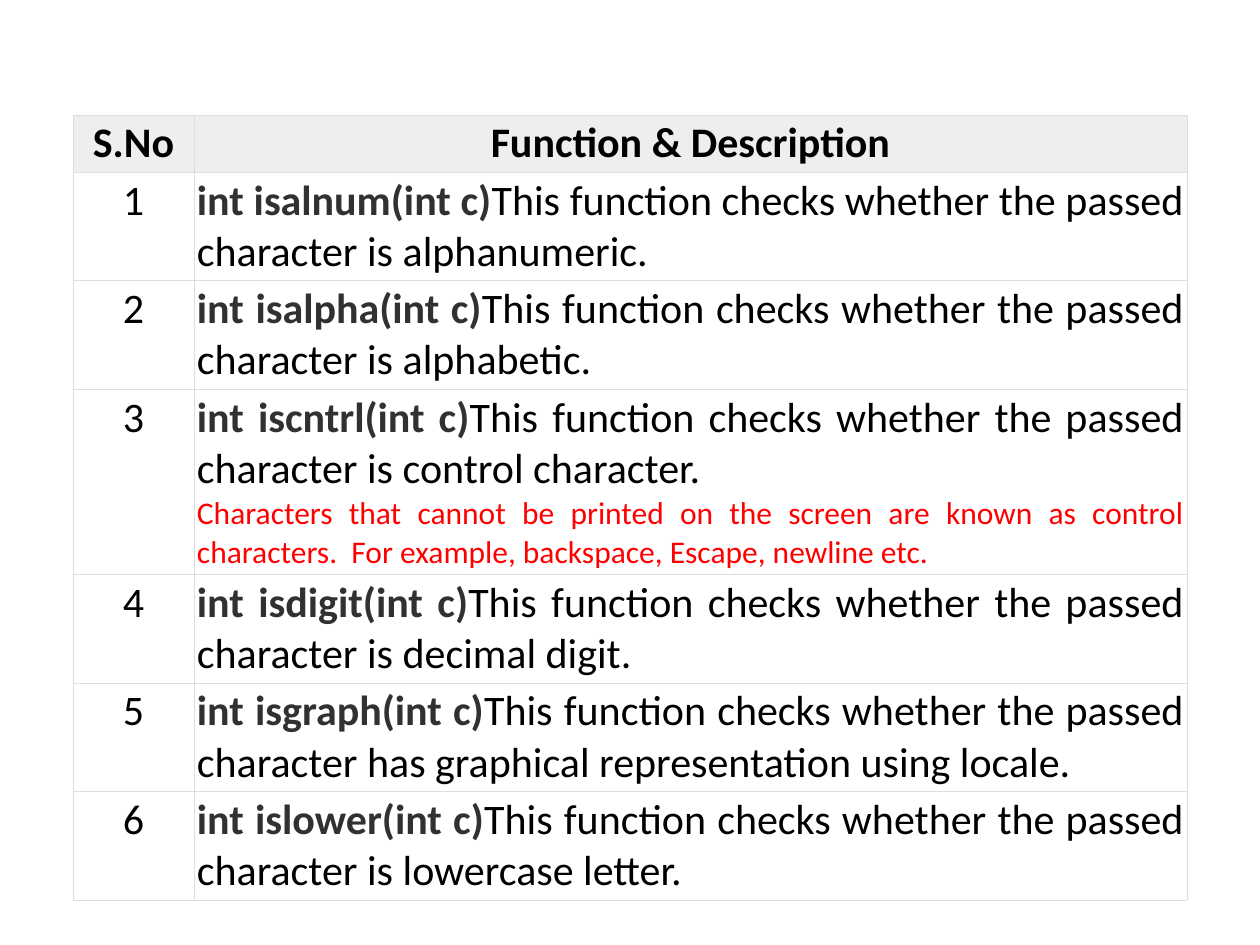
from dataclasses import dataclass

import pptx
import pptx.dml.color
import pptx.enum.text
import pptx.oxml
import pptx.oxml.ns
import pptx.util

RGBColor = pptx.dml.color.RGBColor
Align = pptx.enum.text.PP_ALIGN

BLACK = RGBColor(0x00, 0x00, 0x00)
CHARCOAL = RGBColor(0x31, 0x31, 0x31)
RED = RGBColor(0xFF, 0x00, 0x00)
HEADER_GRAY = RGBColor(0xEE, 0xEE, 0xEE)
BORDER_GRAY = RGBColor(0xDD, 0xDD, 0xDD)

FONT = "Calibri"
PIXEL = pptx.util.Inches(1) / 126
TABLE_LEFT, TABLE_TOP = 73, 115
COLUMN_WIDTHS = (121, 993)
HEADER_HEIGHT, ROW_HEIGHT, NOTE_HEIGHT = 57, 108, 77
CELL_MARGIN = 3
BORDER_WIDTH = pptx.util.Pt(0.5)


@dataclass(frozen=True)
class TextRun:
    text: str
    bold: bool = False
    color: RGBColor = BLACK
    size: int = 24


@dataclass(frozen=True)
class CharacterFunction:
    name: str
    check: str
    note: str = ""


FUNCTIONS = (
    CharacterFunction("isalnum", "is alphanumeric."),
    CharacterFunction("isalpha", "is alphabetic."),
    CharacterFunction(
        "iscntrl",
        "is control character.",
        "Characters that cannot be printed on the screen are known as control "
        "characters. \u00a0For example, backspace, Escape, newline etc.",
    ),
    CharacterFunction("isdigit", "is decimal digit."),
    CharacterFunction("isgraph", "has graphical representation using locale."),
    CharacterFunction("islower", "is lowercase letter."),
)


def px(length: int) -> pptx.util.Emu:
    return pptx.util.Emu(round(length * PIXEL))


def set_attributes(target, values: dict) -> None:
    for name, value in values.items():
        setattr(target, name, value)


def add_borders(cell) -> None:
    properties = cell._tc.get_or_add_tcPr()
    for side in ("lnL", "lnR", "lnT", "lnB"):
        properties.append(pptx.oxml.parse_xml(
            f'<a:{side} {pptx.oxml.ns.nsdecls("a")} w="{BORDER_WIDTH}">'
            f'<a:solidFill><a:srgbClr val="{BORDER_GRAY}"/></a:solidFill>'
            f'</a:{side}>'
        ))


def fill_cell(cell, paragraphs: list[list[TextRun]], alignment: Align,
              background: RGBColor | None = None) -> None:
    margin = px(CELL_MARGIN)
    set_attributes(cell, {f"margin_{side}": margin
                          for side in ("left", "right", "top", "bottom")})
    # Borders come before the fill in the cell properties
    add_borders(cell)
    if background is None:
        cell.fill.background()
    else:
        cell.fill.solid()
        cell.fill.fore_color.rgb = background

    for index, runs in enumerate(paragraphs):
        frame = cell.text_frame
        paragraph = frame.add_paragraph() if index else frame.paragraphs[0]
        paragraph.alignment = alignment
        for item in runs:
            run = paragraph.add_run()
            run.text = item.text
            set_attributes(run.font, {"name": FONT, "bold": item.bold,
                                      "size": pptx.util.Pt(item.size)})
            run.font.color.rgb = item.color


def describe(function: CharacterFunction) -> list[list[TextRun]]:
    paragraphs = [[
        TextRun(f"int {function.name}(int c)", bold=True, color=CHARCOAL),
        TextRun(f"This function checks whether the passed character {function.check}"),
    ]]
    if function.note:
        paragraphs.append([TextRun(function.note, color=RED, size=18)])
    return paragraphs


# Slide
presentation = pptx.Presentation()
set_attributes(presentation, {"slide_width": pptx.util.Inches(10),
                              "slide_height": pptx.util.Inches(7.5)})
slide = presentation.slides.add_slide(presentation.slide_layouts[6])

# Table grid
row_heights = [HEADER_HEIGHT] + [
    ROW_HEIGHT + (NOTE_HEIGHT if function.note else 0) for function in FUNCTIONS
]
table = slide.shapes.add_table(
    len(row_heights), len(COLUMN_WIDTHS), px(TABLE_LEFT), px(TABLE_TOP),
    px(sum(COLUMN_WIDTHS)), px(sum(row_heights)),
).table
set_attributes(table, {"first_row": False, "horz_banding": False})
for column, width in zip(table.columns, COLUMN_WIDTHS):
    column.width = px(width)
for row, height in zip(table.rows, row_heights):
    row.height = px(height)

# Header row
for column_index, heading in enumerate(("S.No", "Function & Description")):
    fill_cell(table.cell(0, column_index), [[TextRun(heading, bold=True)]],
              Align.CENTER, HEADER_GRAY)

# Function rows
for number, function in enumerate(FUNCTIONS, start=1):
    fill_cell(table.cell(number, 0), [[TextRun(str(number))]], Align.CENTER)
    fill_cell(table.cell(number, 1), describe(function), Align.JUSTIFY)

presentation.save("out.pptx")
